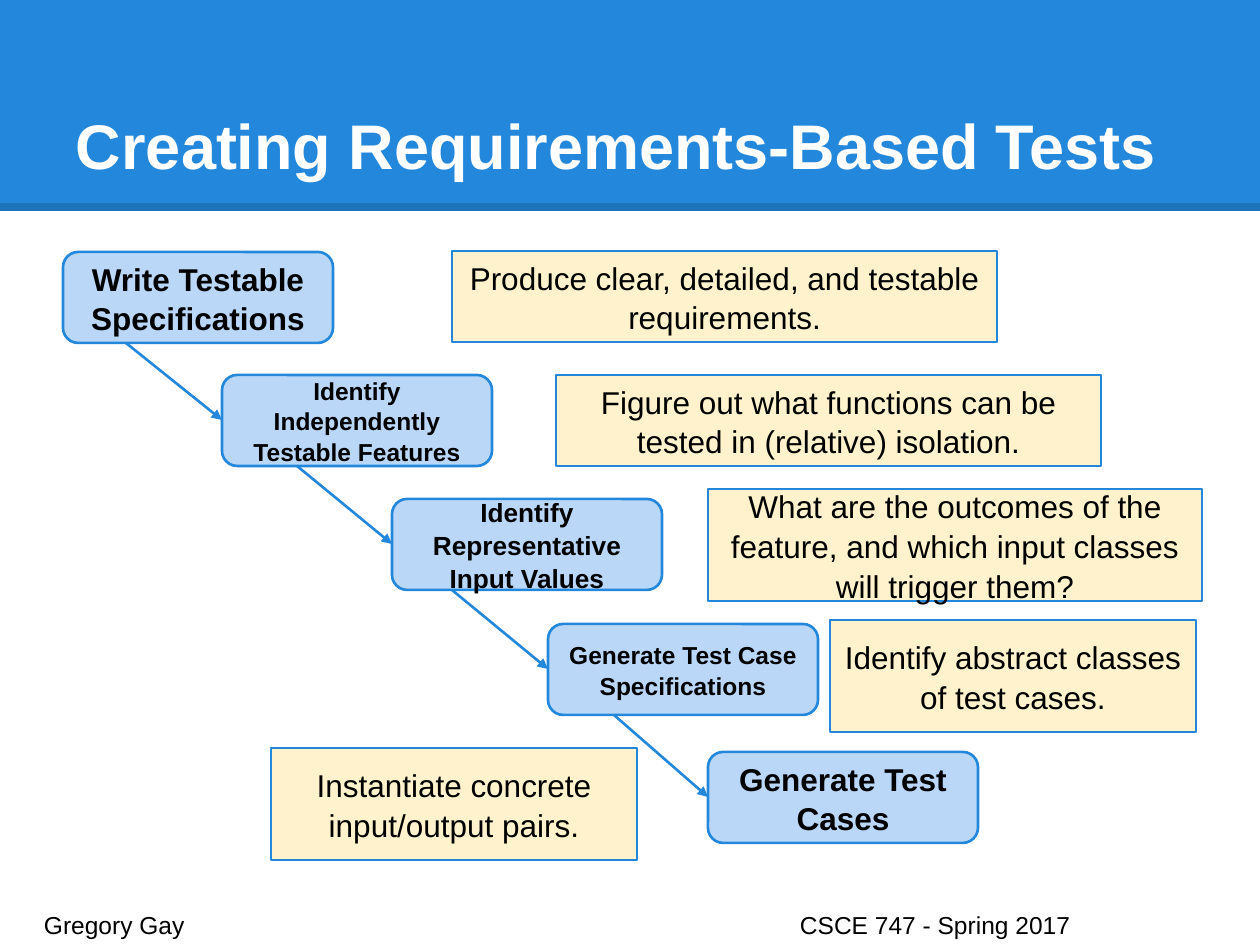
"""Build a slide on the five steps of creating requirements-based tests."""
from pptx import Presentation
from pptx.dml.color import RGBColor
from pptx.enum.shapes import MSO_CONNECTOR as Connector, MSO_SHAPE as Shape
from pptx.enum.text import MSO_ANCHOR as Anchor, MSO_AUTO_SIZE as AutoSize, PP_ALIGN as Align
from pptx.oxml.ns import qn
from pptx.util import Pt
from lxml.etree import SubElement

PX = 914400 / 126
BLUE = RGBColor(0x23, 0x88, 0xDB)
PALE_BLUE = RGBColor(0xBB, 0xD7, 0xF8)
CREAM = RGBColor(0xFF, 0xF2, 0xCC)
BLACK = RGBColor(0, 0, 0)
WHITE = RGBColor(0xFF, 0xFF, 0xFF)
STEP_WIDTH, STEP_HEIGHT = 270, 91

STEPS = [
    ("Write Testable Specifications", 63, 252, 18),
    ("Identify Independently Testable Features", 222, 375, 14),
    ("Identify Representative Input Values", 392, 499, 15),
    ("Generate Test Case Specifications", 548, 624, 14),
    ("Generate Test Cases", 708, 752, 18),
]
ARROW_STARTS = [126, 297, 452, 614]
NOTES = [
    ("Produce clear, detailed, and testable requirements.", 452, 251, 545, 91),
    ("Figure out what functions can be tested in (relative) isolation.", 556, 375, 545, 91),
    ("What are the outcomes of the feature, and which input classes will trigger them?",
     708, 489, 494, 112),
    ("Identify abstract classes of test cases.", 830, 620, 366, 112),
    ("Instantiate concrete input/output pairs.", 271, 748, 366, 112),
]


def emu(*lengths):
    return [round(length * PX) for length in lengths]


def write(shape, text, size, color, bold, align, anchor):
    frame = shape.text_frame
    frame.word_wrap = True
    frame.auto_size = AutoSize.NONE
    frame.vertical_anchor = anchor
    frame.margin_left, frame.margin_top, frame.margin_right, frame.margin_bottom = emu(13, 13, 13, 13)
    frame.text = text
    paragraph = frame.paragraphs[0]
    paragraph.alignment = align
    font = paragraph.font
    font.name, font.size, font.bold = "Arial", Pt(size), bold
    font.color.rgb = color
    return paragraph


deck = Presentation()
deck.slide_width, deck.slide_height = emu(1260, 945)
slide = deck.slides.add_slide(deck.slide_layouts[5])
shapes = slide.shapes

title = shapes.title
title.left, title.top, title.width, title.height = emu(63, 38, 1134, 157)
write(title, "Creating Requirements-Based Tests", 36, WHITE, True, Align.LEFT, Anchor.BOTTOM)

band = shapes.add_shape(Shape.RECTANGLE, *emu(0, 0, 1260, 211))
band.shadow.inherit = False
band.fill.solid()
band.fill.fore_color.rgb = BLUE
band.line.fill.background()

band_edge = shapes.add_connector(Connector.STRAIGHT, *emu(0, 207, 1260, 207))
band_edge.line.color.rgb = BLACK
band_edge.line.width = Pt(4.5)
edge_color = band_edge.line._get_or_add_ln().find(".//" + qn("a:srgbClr"))
SubElement(edge_color, qn("a:alpha"), val="15000")
SubElement(band_edge._element.spPr, qn("a:effectLst"))
for backdrop in (band, band_edge):
    title._element.addprevious(backdrop._element)

boxes = [(Shape.ROUNDED_RECTANGLE, PALE_BLUE, True, size, text, (left, top, STEP_WIDTH, STEP_HEIGHT))
         for text, left, top, size in STEPS]
boxes += [(Shape.RECTANGLE, CREAM, False, 18, text, bounds) for text, *bounds in NOTES]
for outline, fill, bold, size, text, bounds in boxes:
    box = shapes.add_shape(outline, *emu(*bounds))
    box.shadow.inherit = False
    box.fill.solid()
    box.fill.fore_color.rgb = fill
    box.line.color.rgb = BLUE
    box.line.width = Pt(1.5)
    write(box, text, size, BLACK, bold, Align.CENTER, Anchor.MIDDLE).line_spacing = 1.05

for start, step, following in zip(ARROW_STARTS, STEPS, STEPS[1:]):
    arrow = shapes.add_connector(Connector.STRAIGHT, *emu(
        start, step[2] + STEP_HEIGHT, following[1], following[2] + STEP_HEIGHT // 2))
    arrow.line.color.rgb = BLUE
    arrow.line.width = Pt(1.5)
    SubElement(arrow.line._get_or_add_ln(), qn("a:tailEnd"), type="triangle")
    SubElement(arrow._element.spPr, qn("a:effectLst"))

footer = shapes.add_textbox(*emu(31, 897, 1198, 38))
credit = write(footer, "", 14, BLACK, False, Align.LEFT, Anchor.TOP)
credit_properties = credit._p.get_or_add_pPr()
tab_stops = credit_properties.makeelement(qn("a:tabLst"), {})
SubElement(tab_stops, qn("a:tab"), pos=str(emu(756)[0]), algn="l")
credit_properties.insert(0, tab_stops)
credit.add_run().text = "Gregory Gay\tCSCE 747 - Spring 2017"

deck.save("out.pptx")
